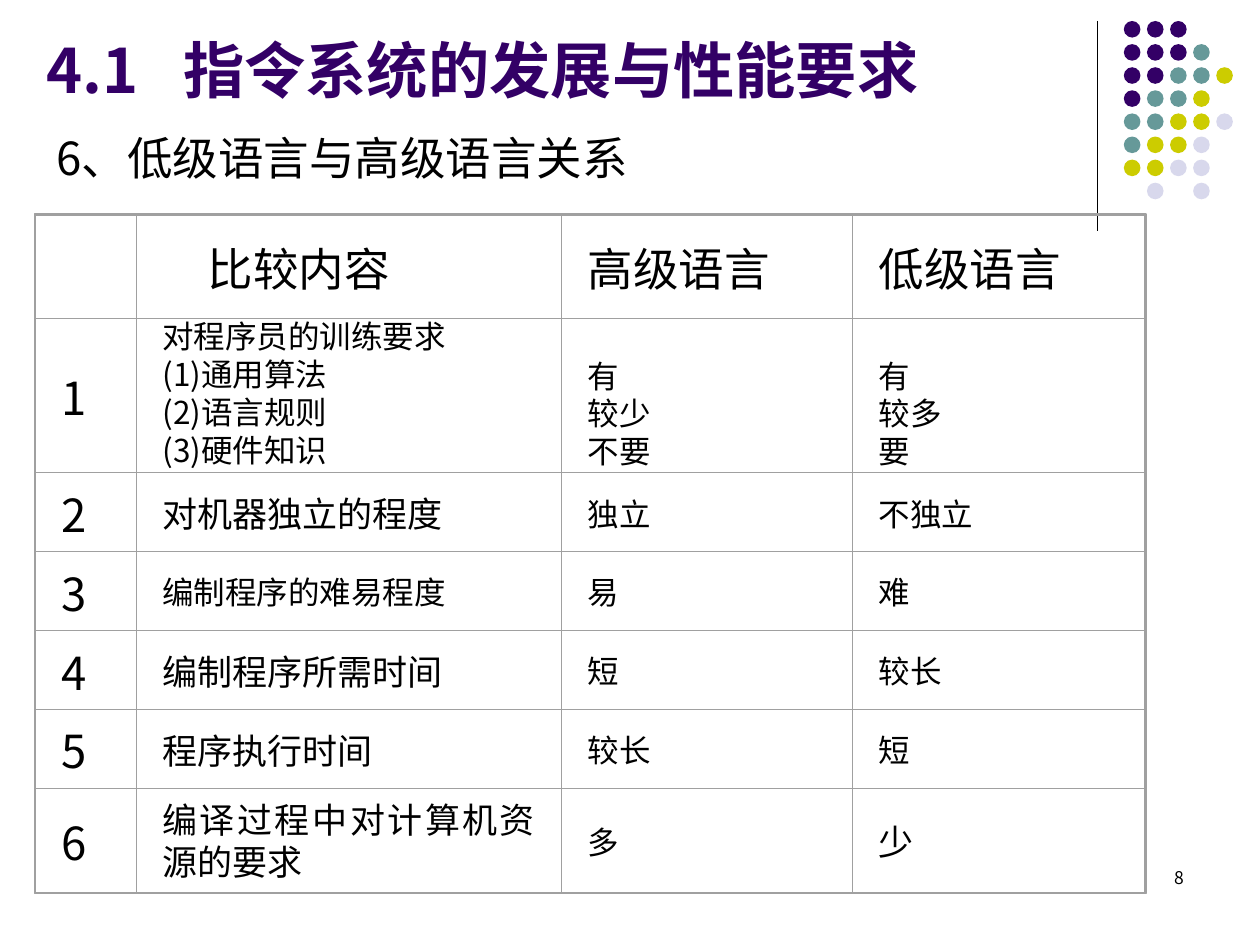
from lxml import etree
from pptx import Presentation
from pptx.dml.color import RGBColor
from pptx.enum.shapes import MSO_CONNECTOR, MSO_SHAPE
from pptx.enum.text import MSO_ANCHOR, PP_ALIGN
from pptx.oxml.ns import qn
from pptx.util import Pt

MIDDLE, TOP, BOTTOM = MSO_ANCHOR.MIDDLE, MSO_ANCHOR.TOP, MSO_ANCHOR.BOTTOM
LEFT, RIGHT, JUSTIFY = PP_ALIGN.LEFT, PP_ALIGN.RIGHT, PP_ALIGN.JUSTIFY
OVAL, RECTANGLE = MSO_SHAPE.OVAL, MSO_SHAPE.RECTANGLE
STRAIGHT = MSO_CONNECTOR.STRAIGHT

FONT = "Noto Sans CJK SC"
COLORS = {
    "text": "000000",
    "title": "330066",
    "border": "A0A0A0",
    "P": "330066",
    "T": "669999",
    "Y": "CCCC00",
    "L": "D8D8EC",
}
DOTS = ["PPP", "PPPT", "PPTTY", "PTTY", "TTYYL", "TYYL", "YYLL", ".L.L"]
DOT_LEFT, DOT_TOP, DOT_SIZE, DOT_PITCH = 642.2, 12, 9.5, 13.2

TITLE = "4.1\t指令系统的发展与性能要求"
SUBTITLE = "6、低级语言与高级语言关系"
PAGE_NUMBER = "8"

HEADER = ["", "比较内容", "高级语言", "低级语言"]
ROWS = [
    [["1"], ["对程序员的训练要求", "(1)通用算法", "(2)语言规则", "(3)硬件知识"],
     ["有", "较少", "不要"], ["有", "较多", "要"]],
    [["2"], ["对机器独立的程度"], ["独立"], ["不独立"]],
    [["3"], ["编制程序的难易程度"], ["易"], ["难"]],
    [["4"], ["编制程序所需时间"], ["短"], ["较长"]],
    [["5"], ["程序执行时间"], ["较长"], ["短"]],
    [["6"], ["编译过程中对计算机资源的要求"], ["多"], ["少"]],
]
COLUMN_SIZES = [26, 20, 18, 18]
SIZE_EXCEPTIONS = {(1, 1): 18, (3, 1): 18, (6, 3): 20}
WRAPPED_CELL = (6, 1)
COLUMN_WIDTHS = [57.6, 243, 166.5, 166.5]
ROW_HEIGHTS = [59.4, 88] + [45.1] * 4 + [59.4]
TABLE_LEFT, TABLE_TOP = 20.2, 122.8
CELL_INSET = 15
HEADER_INDENT = 26


def rgb(name):
    return RGBColor.from_string(COLORS[name])


def style(paragraph, size, color="text", bold=False, align=LEFT):
    paragraph.alignment = align
    paragraph.font.name = FONT
    paragraph.font.size = Pt(size)
    paragraph.font.bold = bold
    paragraph.font.color.rgb = rgb(color)
    for run in paragraph.runs:
        east_asian = etree.SubElement(run._r.get_or_add_rPr(), qn("a:ea"))
        east_asian.set("typeface", FONT)


def add_text(slide, text, box, size, anchor, **options):
    shape = slide.shapes.add_textbox(*[Pt(value) for value in box])
    frame = shape.text_frame
    frame.word_wrap = True
    frame.vertical_anchor = anchor
    paragraph = frame.paragraphs[0]
    paragraph.text = text
    if "\t" in text:
        tabs = etree.SubElement(paragraph._p.get_or_add_pPr(), qn("a:tabLst"))
        etree.SubElement(tabs, qn("a:tab"), pos=str(Pt(78)), algn="l")
    style(paragraph, size, **options)


def add_shape(slide, kind, box, fill=None, line=None):
    shape = slide.shapes.add_shape(kind, *[Pt(value) for value in box])
    shape.shadow.inherit = False
    if fill:
        shape.fill.solid()
        shape.fill.fore_color.rgb = rgb(fill)
    else:
        shape.fill.background()
    if line:
        shape.line.color.rgb = rgb(line)
        shape.line.width = Pt(0.75)
    else:
        shape.line.fill.background()


def add_decoration(slide):
    line = slide.shapes.add_connector(STRAIGHT, Pt(627), Pt(12), Pt(627), Pt(132))
    line.line.color.rgb = rgb("text")
    line.line.width = Pt(0.75)
    etree.SubElement(line._element.spPr, qn("a:effectLst"))
    for row, pattern in enumerate(DOTS):
        for column, color in enumerate(pattern):
            if color != ".":
                left = DOT_LEFT + column * DOT_PITCH
                top = DOT_TOP + row * DOT_PITCH
                add_shape(slide, OVAL, (left, top, DOT_SIZE, DOT_SIZE), fill=color)


def add_borders(cell):
    properties = cell._tc.get_or_add_tcPr()
    for index, side in enumerate(("a:lnL", "a:lnR", "a:lnT", "a:lnB")):
        border = etree.Element(qn(side), w=str(Pt(0.5)))
        fill = etree.SubElement(border, qn("a:solidFill"))
        etree.SubElement(fill, qn("a:srgbClr"), val=COLORS["border"])
        properties.insert(index, border)


def fill_cell(cell, row, column, lines):
    size = 26 if row == 0 else SIZE_EXCEPTIONS.get((row, column), COLUMN_SIZES[column])
    wrapped = (row, column) == WRAPPED_CELL
    cell.fill.background()
    cell.margin_left = Pt(CELL_INSET + (HEADER_INDENT if (row, column) == (0, 1) else 0))
    cell.margin_right = Pt(CELL_INSET)
    cell.margin_top = Pt(4 if wrapped else 0)
    cell.margin_bottom = Pt(0)
    cell.vertical_anchor = BOTTOM if len(lines) == 3 else MIDDLE
    cell.text = "\n".join(lines)
    for paragraph in cell.text_frame.paragraphs:
        if wrapped or len(lines) > 1:
            paragraph.line_spacing = Pt(size * 1.2)
        style(paragraph, size, align=JUSTIFY)
    add_borders(cell)


def add_comparison_table(slide):
    rows = [[[text] for text in HEADER]] + ROWS
    width, height = sum(COLUMN_WIDTHS), sum(ROW_HEIGHTS)
    frame = slide.shapes.add_table(len(rows), len(HEADER), Pt(TABLE_LEFT), Pt(TABLE_TOP),
                                   Pt(width), Pt(height))
    table = frame.table
    table.first_row = False
    table.horz_banding = False
    for column, value in zip(table.columns, COLUMN_WIDTHS):
        column.width = Pt(value)
    for row, value in zip(table.rows, ROW_HEIGHTS):
        row.height = Pt(value)
    for row, cells in enumerate(rows):
        for column, lines in enumerate(cells):
            fill_cell(table.cell(row, column), row, column, lines)
    add_shape(slide, RECTANGLE, (TABLE_LEFT - 0.5, TABLE_TOP - 0.5, width + 1.5, height + 1),
              line="border")


def main():
    presentation = Presentation()
    presentation.slide_width, presentation.slide_height = Pt(720), Pt(540)
    slide = presentation.slides.add_slide(presentation.slide_layouts[6])
    add_decoration(slide)
    add_text(slide, PAGE_NUMBER, (516, 492, 168, 36), 10, TOP, align=RIGHT)
    add_text(slide, TITLE, (19.6, 17, 594, 44.6), 35, MIDDLE, color="title", bold=True)
    add_text(slide, SUBTITLE, (25.2, 73, 462, 34), 26, MIDDLE)
    add_comparison_table(slide)
    presentation.save("out.pptx")


if __name__ == "__main__":
    main()
